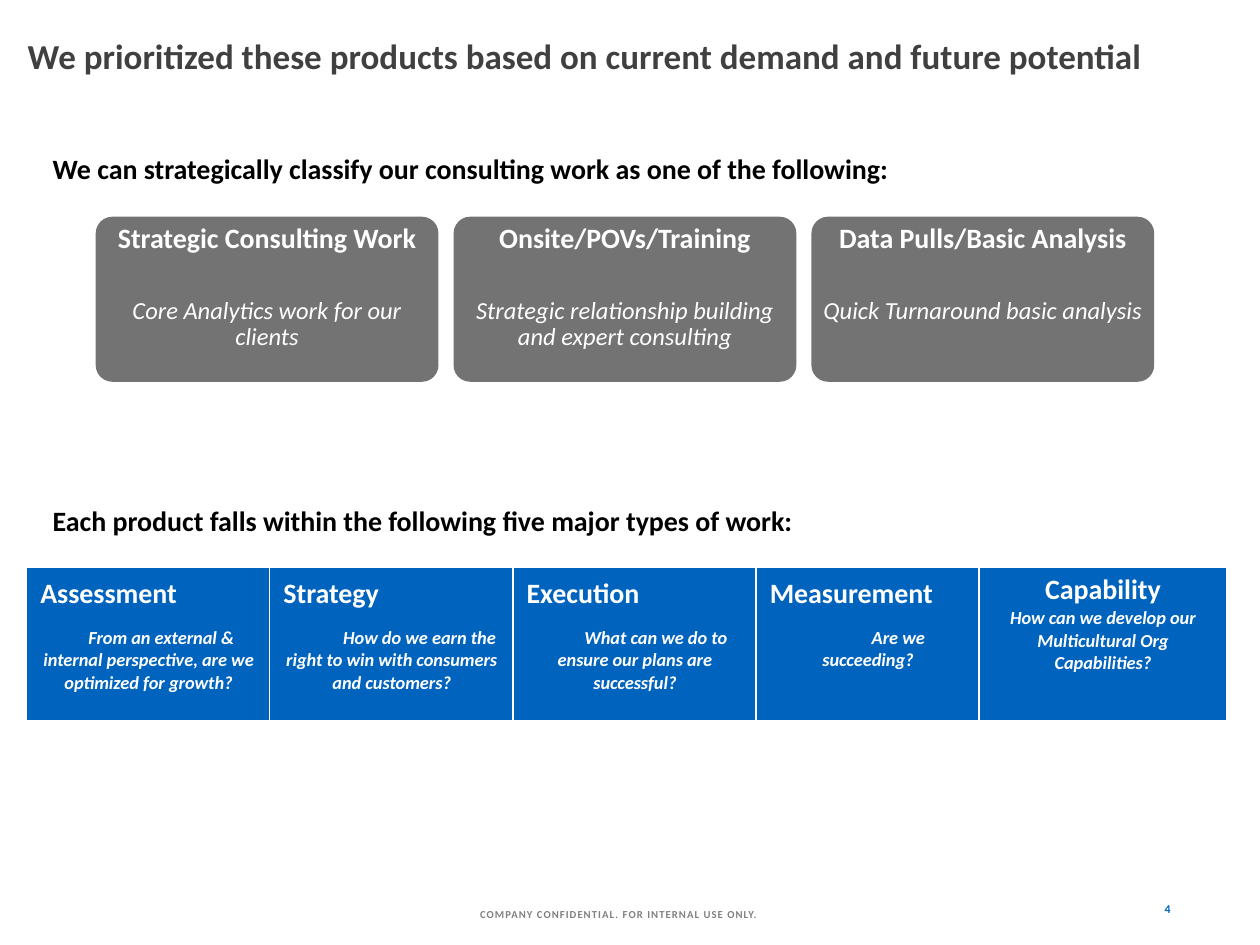
from pptx import Presentation
from pptx.dml.color import RGBColor
from pptx.enum import shapes, text
from pptx.util import Inches, Pt

COLORS = {"title": "404040", "body": "000000", "card": "737373",
          "type": "0063BE", "footer": "808080", "light": "FFFFFF"}


def style(paragraph, size, color, bold=True, italic=False, align=text.PP_ALIGN.LEFT):
    paragraph.alignment = align
    for run in paragraph.runs:
        font = run.font
        font.name, font.size = "Calibri", Pt(size)
        font.bold, font.italic = bold, italic
        font.color.rgb = RGBColor.from_string(COLORS[color])


def add_label(words, box, size, color, align, anchor):
    label = slide.shapes.add_textbox(*map(Inches, box))
    frame = label.text_frame
    frame.word_wrap = True
    frame.vertical_anchor = anchor
    frame.text = words
    style(frame.paragraphs[0], size, color, align=align)
    return frame.paragraphs[0]


LEFT, CENTER, RIGHT = text.PP_ALIGN.LEFT, text.PP_ALIGN.CENTER, text.PP_ALIGN.RIGHT
TOP, MIDDLE = text.MSO_ANCHOR.TOP, text.MSO_ANCHOR.MIDDLE

prs = Presentation()
prs.slide_width, prs.slide_height = Inches(10), Inches(7.5)
slide = prs.slides.add_slide(prs.slide_layouts[5])

title = slide.shapes.title
title.left, title.top = Inches(0.12), Inches(0.05)
title.width, title.height = Inches(9.7), Inches(0.78)
title.text_frame.text = "We prioritized these products based on current demand and future potential"
title.text_frame.auto_size = text.MSO_AUTO_SIZE.NONE
title.text_frame.vertical_anchor = MIDDLE
style(title.text_frame.paragraphs[0], 20, "title")

add_label("4", (8.45, 7.01, 0.94, 0.4), 6.8, "type", RIGHT, MIDDLE)
notice = add_label("COMPANY CONFIDENTIAL. FOR INTERNAL USE ONLY.",
                   (2.45, 7.06, 4.92, 0.4), 6.1, "footer", CENTER, MIDDLE)
notice.runs[0].font._element.set("spc", "60")

add_label("We can strategically classify our consulting work as one of the following:",
          (0.32, 1.15, 8.83, 0.64), 16, "body", LEFT, TOP)
add_label("Each product falls within the following five major types of work:",
          (0.32, 3.95, 8.83, 0.37), 16, "body", LEFT, TOP)

categories = [
    ("Strategic Consulting Work", "Core Analytics work for our clients"),
    ("Onsite/POVs/Training", "Strategic relationship building and expert consulting"),
    ("Data Pulls/Basic Analysis", "Quick Turnaround basic analysis"),
]
for i, (heading, detail) in enumerate(categories):
    card = slide.shapes.add_shape(shapes.MSO_SHAPE.ROUNDED_RECTANGLE,
                                  Inches(0.76 + 2.84 * i), Inches(1.72),
                                  Inches(2.72), Inches(1.31))
    card.adjustments[0] = 0.1
    card.shadow.inherit = False
    card.fill.solid()
    card.fill.fore_color.rgb = RGBColor.from_string(COLORS["card"])
    card.line.fill.background()
    frame = card.text_frame
    frame.word_wrap = True
    frame.vertical_anchor = TOP
    frame.margin_left = frame.margin_right = Inches(0.04)
    frame.margin_top = frame.margin_bottom = Inches(0.02)
    frame.text = f"{heading}\n{detail}"
    head, description = frame.paragraphs
    style(head, 16, "light", align=CENTER)
    style(description, 14, "light", bold=False, italic=True, align=CENTER)
    head.line_spacing = description.line_spacing = 0.9
    head.space_after = Pt(25)

work_types = [
    (1.93, "Assessment", "From an external & internal perspective, are we optimized for growth?", 0.2),
    (1.93, "Strategy", "How do we earn the right to win with consumers and customers?", 0.44),
    (1.93, "Execution", "What can we do to ensure our plans are successful?", 0.33),
    (1.77, "Measurement", "Are we succeeding?", 0.48),
    (1.97, "Capability", "How can we develop our Multicultural Org Capabilities?", 0),
]
types_table = slide.shapes.add_table(1, len(work_types), Inches(0.21), Inches(4.5),
                                     Inches(9.54), Inches(1.22)).table
for i, (width, heading, question, indent) in enumerate(work_types):
    types_table.columns[i].width = Inches(width)
    cell = types_table.cell(0, i)
    cell.fill.solid()
    cell.fill.fore_color.rgb = RGBColor.from_string(COLORS["type"])
    cell.text_frame.text = f"{heading}\n{question}"
    head, description = cell.text_frame.paragraphs
    style(head, 16, "light", align=LEFT if indent else CENTER)
    style(description, 10.5, "light", italic=True, align=CENTER)
    if indent:
        cell.margin_top = Inches(0.08)
        cell.margin_left = Inches(0.11)
        description.space_before = Pt(9)
        description._p.get_or_add_pPr().set("indent", str(Inches(indent)))

prs.save("out.pptx")
